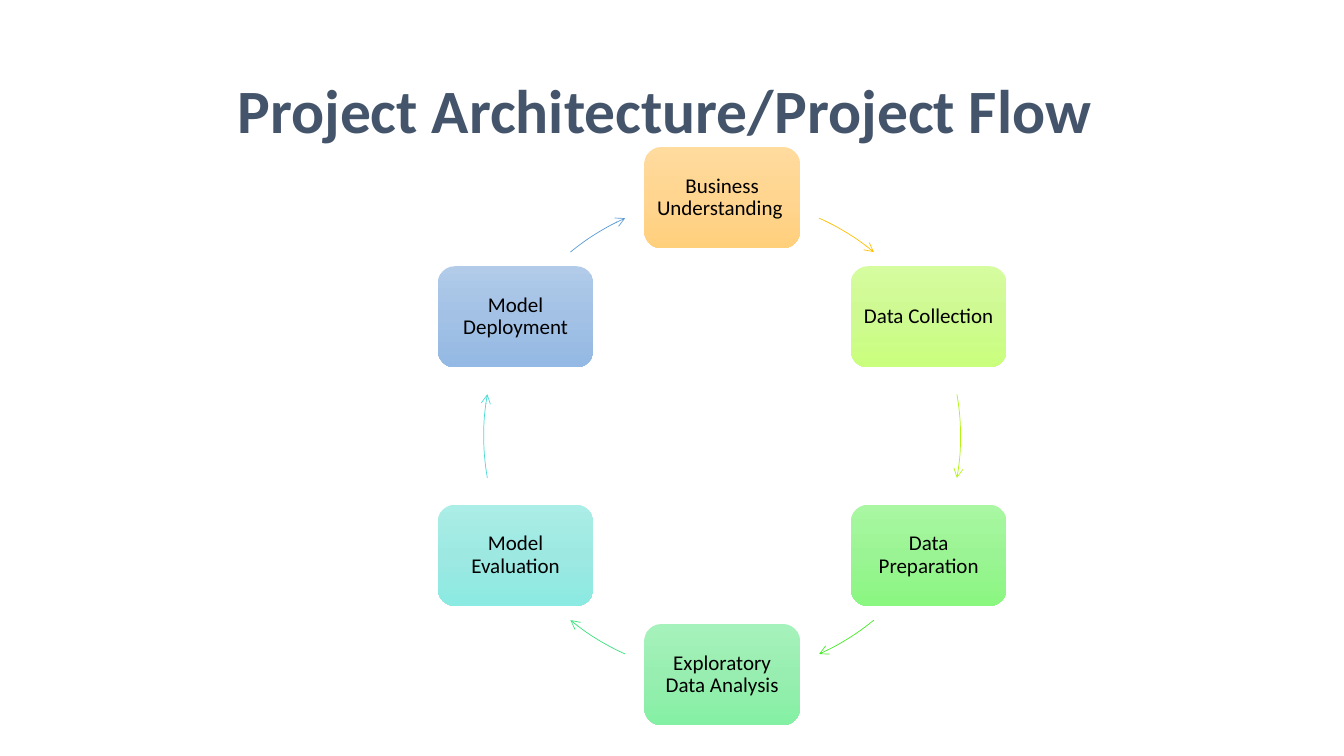
"""Build the project flow slide: six stages on a clockwise cycle."""
import math
from copy import deepcopy

from lxml import etree
from pptx import Presentation
from pptx import util as u
from pptx.dml.color import RGBColor
from pptx.enum import shapes, text
from pptx.oxml.ns import qn

TITLE_COLOR = RGBColor(0x44, 0x54, 0x6A)
TEXT_COLOR = RGBColor(0x00, 0x00, 0x00)
ORANGE = [RGBColor(0xFF, 0xDB, 0x9E), RGBColor(0xFF, 0xD5, 0x90), RGBColor(0xFF, 0xD0, 0x7C)]
LIME = [RGBColor(0xD5, 0xFC, 0x9F), RGBColor(0xCE, 0xFA, 0x91), RGBColor(0xCA, 0xFF, 0x7D)]
GREEN = [RGBColor(0xA9, 0xF7, 0xA2), RGBColor(0x9B, 0xF4, 0x94), RGBColor(0x89, 0xF7, 0x80)]
MINT = [RGBColor(0xA6, 0xF2, 0xBC), RGBColor(0x98, 0xEE, 0xB0), RGBColor(0x84, 0xF0, 0xA4)]
TEAL = [RGBColor(0xAB, 0xED, 0xE7), RGBColor(0x9D, 0xE9, 0xE2), RGBColor(0x8B, 0xEA, 0xE2)]
BLUE = [RGBColor(0xB1, 0xCB, 0xE9), RGBColor(0xA3, 0xC1, 0xE5), RGBColor(0x93, 0xB9, 0xE4)]

STAGES = [
    ("Business Understanding ", ORANGE, RGBColor(0xFF, 0xC0, 0x00)),
    ("Data Collection", LIME, RGBColor(0xB2, 0xF5, 0x14)),
    ("Data Preparation", GREEN, RGBColor(0x46, 0xEC, 0x27)),
    ("Exploratory Data Analysis", MINT, RGBColor(0x39, 0xE3, 0x7B)),
    ("Model Evaluation", TEAL, RGBColor(0x4A, 0xDC, 0xD2)),
    ("Model Deployment", BLUE, RGBColor(0x5B, 0x9B, 0xD5)),
]
ARROW_SPANS = [(24, 39.5), (79.9, 100.1), (140.5, 156),
               (204, 219.5), (259.9, 280.1), (320.5, 336)]
CENTER_X, CENTER_Y, RADIUS = 18.2, 10.99, 6.01
BOX_WIDTH, BOX_HEIGHT, INSET = 3.92, 2.55, 0.15


def write_text(frame, words, size, color, bold=False):
    """Write one centred run, anchored in the middle of a frame."""
    frame.word_wrap = True
    frame.auto_size = text.MSO_AUTO_SIZE.NONE
    frame.vertical_anchor = text.MSO_ANCHOR.MIDDLE
    para = frame.paragraphs[0]
    para.alignment = text.PP_ALIGN.CENTER
    para.line_spacing = 0.9
    span = para.add_run()
    span.text = words
    span.font.name = "Calibri"
    span.font.size = u.Pt(size)
    span.font.bold = bold
    span.font.color.rgb = color


def add_title(page, words):
    """Place and fill the title placeholder."""
    title = page.shapes.title
    title.left, title.top = u.Cm(2.33), u.Cm(1.01)
    title.width, title.height = u.Cm(29.21), u.Cm(3.68)
    write_text(title.text_frame, words, 44, TITLE_COLOR, bold=True)


def fill_gradient(box, colors):
    """Fill a box from top to bottom with evenly spaced colours."""
    box.fill.gradient()
    box.fill.gradient_angle = 270
    stop_list = box._element.spPr.find(".//" + qn("a:gsLst"))
    stop_list.insert(1, deepcopy(stop_list[0]))
    for index, (stop, color) in enumerate(zip(box.fill.gradient_stops, colors)):
        stop.position = index / (len(colors) - 1)
        stop.color.rgb = color


def add_stage(page, words, colors, degrees):
    """Add a stage box at a clockwise angle from the top of the cycle."""
    angle = math.radians(degrees)
    left = CENTER_X + RADIUS * math.sin(angle) - BOX_WIDTH / 2
    top = CENTER_Y - RADIUS * math.cos(angle) - BOX_HEIGHT / 2
    box = page.shapes.add_shape(shapes.MSO_SHAPE.ROUNDED_RECTANGLE, u.Cm(left), u.Cm(top),
                                u.Cm(BOX_WIDTH), u.Cm(BOX_HEIGHT))
    box.shadow.inherit = False
    box.line.fill.background()
    fill_gradient(box, colors)
    frame = box.text_frame
    frame.margin_left = frame.margin_right = u.Cm(INSET)
    frame.margin_top = frame.margin_bottom = u.Cm(INSET)
    write_text(frame, words, 15, TEXT_COLOR)


def add_arc_arrow(page, color, span_degrees):
    """Add an arrow along the cycle between two clockwise angles."""
    arc = page.shapes.add_shape(shapes.MSO_SHAPE.ARC, u.Cm(CENTER_X - RADIUS),
                                u.Cm(CENTER_Y - RADIUS), u.Cm(2 * RADIUS), u.Cm(2 * RADIUS))
    for index, degrees in enumerate(span_degrees):
        arc.adjustments[index] = (degrees - 90) % 360 * 0.6
    arc.shadow.inherit = False
    arc.fill.background()
    arc.line.color.rgb = color
    arc.line.width = u.Pt(0.5)
    line = arc._element.spPr.find(qn("a:ln"))
    etree.SubElement(line, qn("a:tailEnd"), type="arrow")


def main():
    """Build and save the slide."""
    deck = Presentation()
    deck.slide_width, deck.slide_height = u.Cm(33.87), u.Cm(19.05)
    page = deck.slides.add_slide(deck.slide_layouts[5])
    add_title(page, "Project Architecture/Project Flow ")
    step = 360 / len(STAGES)
    for index, (words, colors, arrow_color) in enumerate(STAGES):
        add_stage(page, words, colors, index * step)
        add_arc_arrow(page, arrow_color, ARROW_SPANS[index])
    deck.save("out.pptx")


if __name__ == "__main__":
    main()
